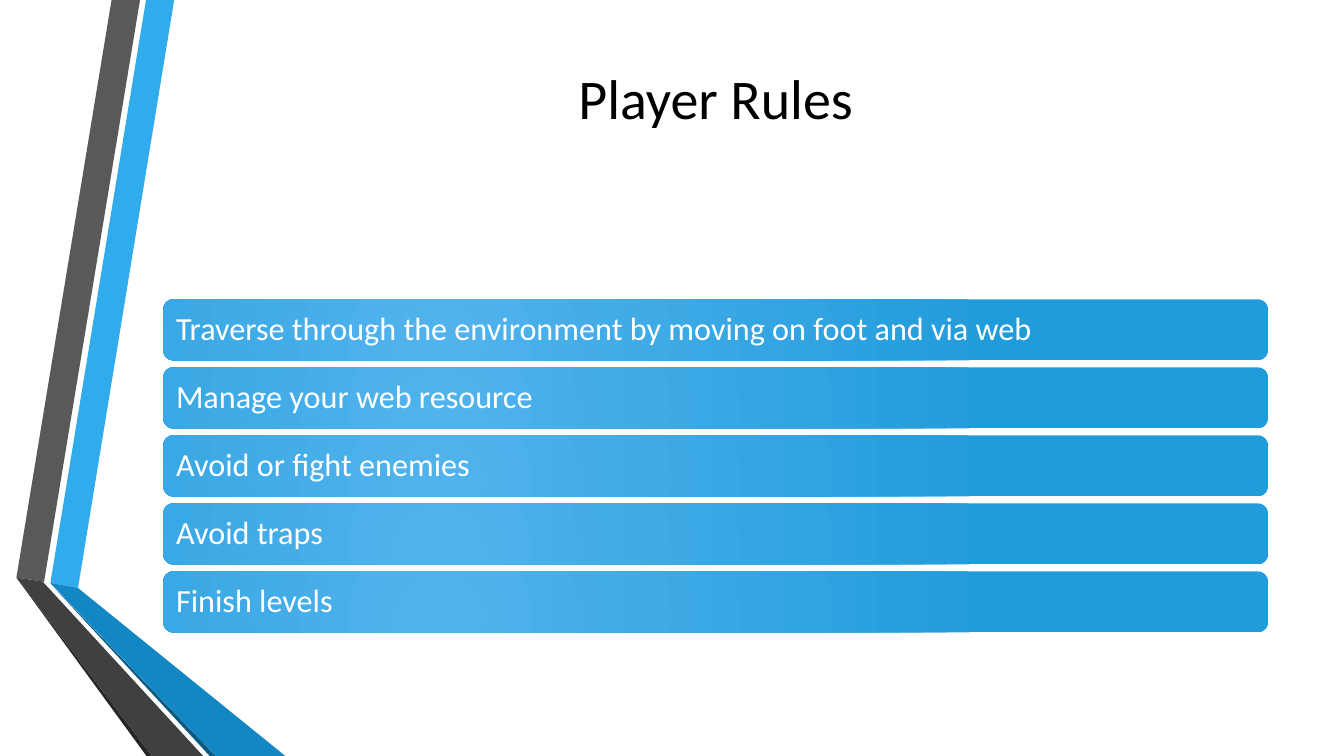
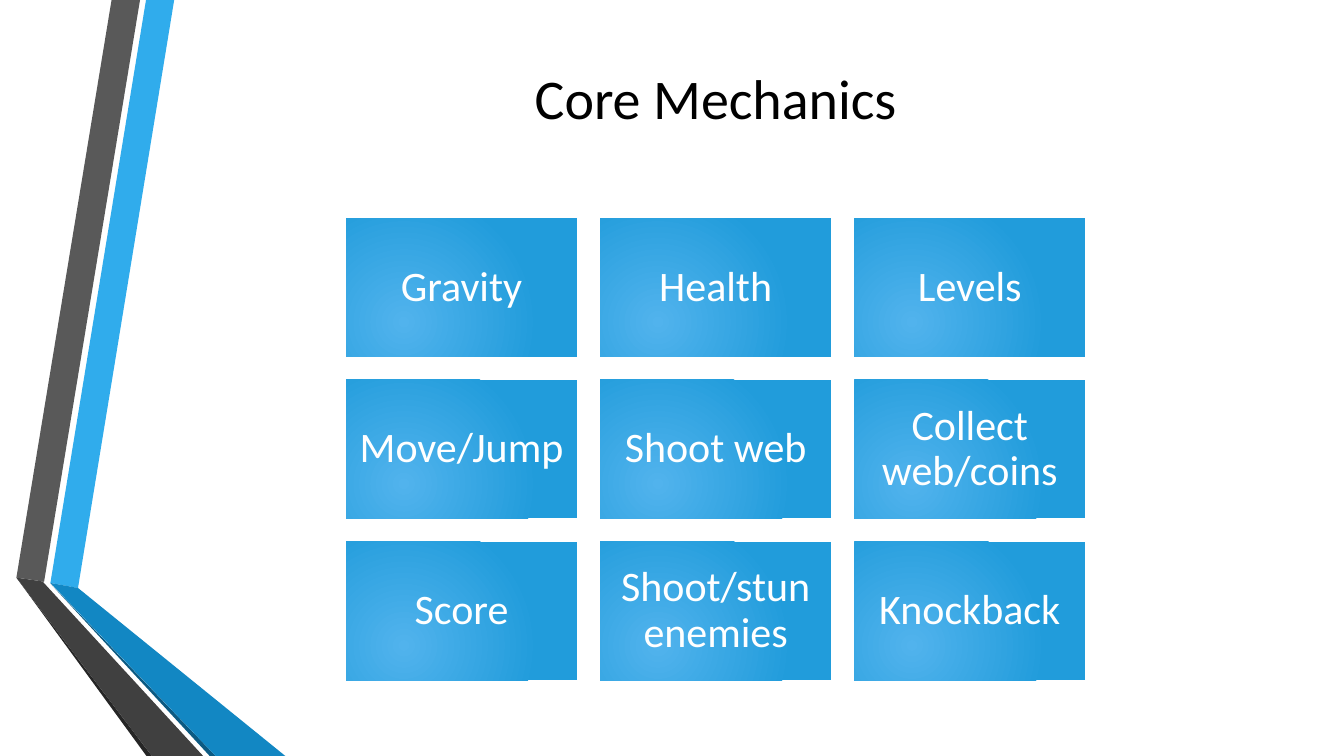
import pptx
import pptx.dml.color
import pptx.enum.shapes
import pptx.enum.text
import pptx.oxml
import pptx.oxml.ns
import pptx.util

Pt = pptx.util.Pt
Align = pptx.enum.text.PP_ALIGN
Shape = pptx.enum.shapes.MSO_SHAPE

COLOURS = {
    "title": "000000",
    "label": "FFFFFF",
    "glow": "51B3ED",
    "edge": "219CDB",
    "sky": "30ACEC",
    "grey": "595959",
    "black": "262626",
    "navy": "0C5A82",
    "blue": "1287C3",
    "charcoal": "404040",
}
RIBBONS = [
    ("sky", [(36, 416.4), (55.7, 420), (124.4, 0), (104.3, 0)]),
    ("grey", [(100, 0), (79.7, 0), (11.7, 412.6), (31.5, 415.5)]),
    ("black", [(11.7, 412.6), (104.6, 540), (108.5, 540)]),
    ("navy", [(36, 416.8), (149.8, 540), (154.1, 540)]),
    ("blue", [(36, 416.4), (154.1, 540), (203.8, 540), (55.7, 420)]),
    ("charcoal", [(145.1, 540), (34.7, 420), (31, 416), (31.5, 415.5),
                  (11.7, 412.6), (108.5, 540)]),
]
LEFT, WIDTH = 116.6, 789.2
RULES = [
    "Traverse through the environment by moving on foot and via web",
    "Manage your web resource",
    "Avoid or fight enemies",
    "Avoid traps",
    "Finish levels",
]
MECHANICS = [
    "Gravity", "Health", "Levels",
    "Move/Jump", "Shoot web", "Collect web/coins",
    "Score", "Shoot/stun enemies", "Knockback",
]
RADIAL_PATH = (
    f'<a:path {pptx.oxml.ns.nsdecls("a")} path="circle">'
    '<a:fillToRect l="50000" t="100000" r="100000" b="50000"/></a:path>'
)


def colour(name):
    return pptx.dml.color.RGBColor.from_string(COLOURS[name])


def assign(target, formats):
    for name, value in formats.items():
        setattr(target, name, value)


class SlideMaker:
    font = "Calibri"

    def __init__(self):
        self.deck = pptx.Presentation()
        assign(self.deck, {"slide_width": Pt(960), "slide_height": Pt(540)})
        self.layout = self.deck.slide_layouts[5]
        self.page = None

    def add_page(self, title):
        self.page = self.deck.slides.add_slide(self.layout)
        box = self.page.shapes.title
        assign(box, {"left": Pt(LEFT), "top": Pt(0),
                     "width": Pt(WIDTH), "height": Pt(138.2)})
        self.add_text(box, title, 40, "title", Align.CENTER)

    def add_shared_ribbons(self):
        for name, points in RIBBONS:
            corners = [(Pt(x), Pt(y)) for x, y in points]
            builder = self.page.shapes.build_freeform(*corners[0])
            builder.add_line_segments(corners[1:])
            ribbon = builder.convert_to_shape()
            ribbon.shadow.inherit = False
            ribbon.fill.solid()
            ribbon.fill.fore_color.rgb = colour(name)
            ribbon.line.fill.background()
            self.layout.shapes.element.append(ribbon.element)

    def add_text(self, box, text, size, colour_name, align, margin=7.2, spacing=None):
        frame = box.text_frame
        assign(frame, {
            "word_wrap": True,
            "auto_size": pptx.enum.text.MSO_AUTO_SIZE.NONE,
            "vertical_anchor": pptx.enum.text.MSO_ANCHOR.MIDDLE,
            **{f"margin_{side}": Pt(margin)
               for side in ("left", "right", "top", "bottom")},
        })
        para = frame.paragraphs[0]
        assign(para, {"alignment": align, "line_spacing": spacing})
        span = para.add_run()
        span.text = text
        assign(span.font, {"name": self.font, "size": Pt(size)})
        span.font.color.rgb = colour(colour_name)

    def add_card(self, kind, place, text, size, align, margin):
        card = self.page.shapes.add_shape(kind, *map(Pt, place))
        card.shadow.inherit = False
        card.line.fill.background()
        card.fill.gradient()
        for stop, name in zip(card.fill.gradient_stops, ("glow", "edge")):
            stop.color.rgb = colour(name)
        linear = card.element.spPr.find(".//" + pptx.oxml.ns.qn("a:lin"))
        linear.getparent().replace(linear, pptx.oxml.parse_xml(RADIAL_PATH))
        self.add_text(card, text, size, "label", align, margin, 0.9)

    def add_bars(self, labels, top, height, gap):
        for row, text in enumerate(labels):
            place = (LEFT, top + row * (height + gap), WIDTH, height)
            self.add_card(Shape.ROUNDED_RECTANGLE, place, text, 23, Align.LEFT, 7)

    def add_grid(self, labels, columns, top, width, height, gap):
        left = LEFT + (WIDTH - columns * width - (columns - 1) * gap) / 2
        for index, text in enumerate(labels):
            row, column = divmod(index, columns)
            place = (left + column * (width + gap), top + row * (height + gap),
                     width, height)
            self.add_card(Shape.RECTANGLE, place, text, 30, Align.CENTER, 8)


def main():
    maker = SlideMaker()
    maker.add_page("Player Rules")
    maker.add_shared_ribbons()
    maker.add_bars(RULES, top=213.8, height=43.6, gap=5)
    maker.add_page("Core Mechanics")
    maker.add_grid(MECHANICS, columns=3, top=155.8, width=165, height=99, gap=16.5)
    maker.deck.save("out.pptx")


if __name__ == "__main__":
    main()
